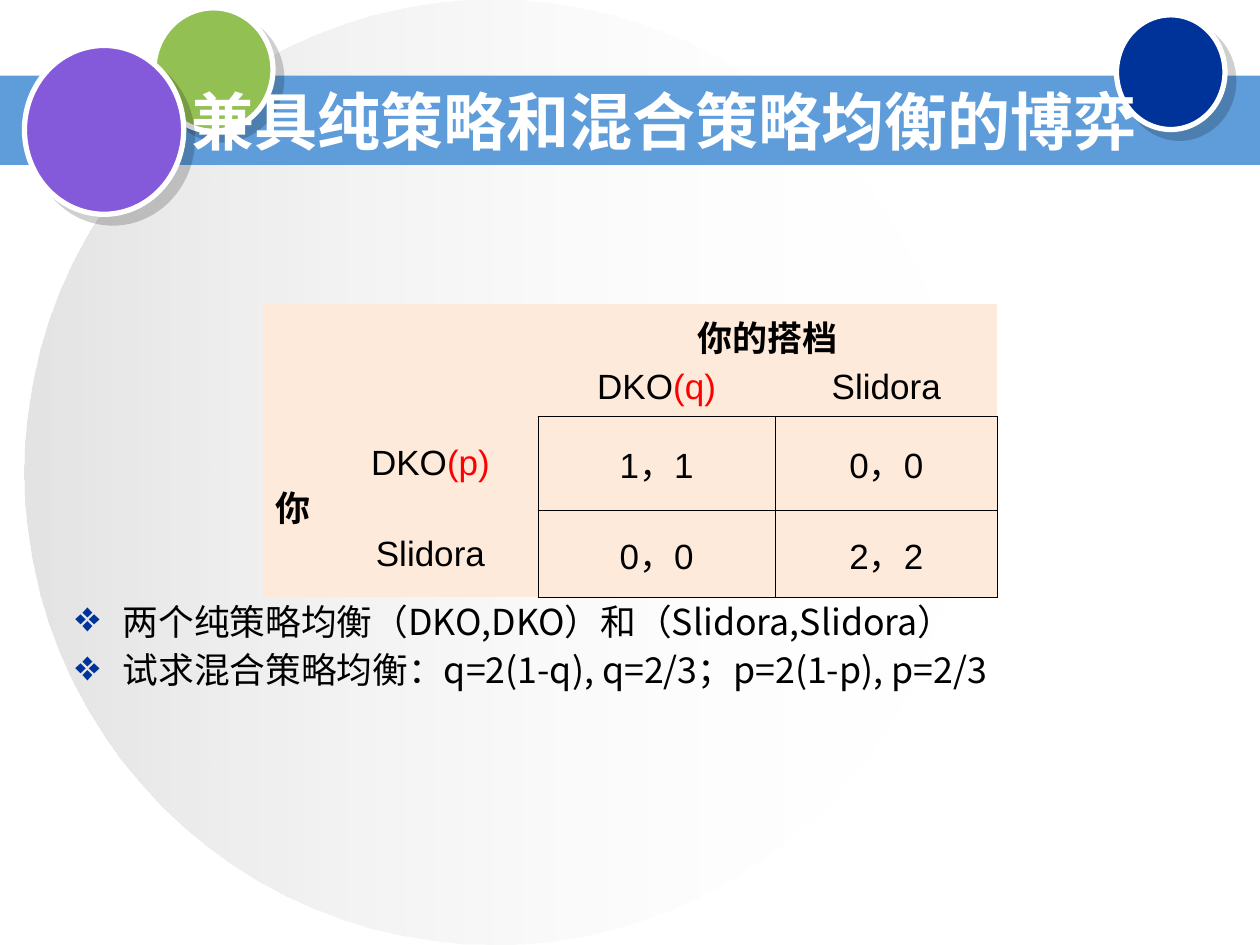
from dataclasses import dataclass
from typing import Any

from pptx import Presentation
from pptx import util as u
from pptx.dml.color import RGBColor
from pptx.enum import shapes, text
from pptx.oxml import ns, parse_xml

A = f'xmlns:a="{ns.nsuri("a")}"'
NO_GRID = "{2D5ABB26-0587-4C30-8999-92F81FD0307C}"


def rgb(value):
    return RGBColor.from_string(value)


@dataclass
class Deck:
    """Holds the style and the current slide, and draws each kind of element."""
    s: Any
    latin: str = "Arial"
    cjk: str = "Noto Sans CJK SC"
    ink: str = "000000"
    white: str = "FFFFFF"
    accent: str = "003399"
    mark: str = "FF0000"
    cell_fill: str = "FDEADA"

    def font(self, r, size, color, name, bold=False):
        r.font.size, r.font.bold, r.font.name = u.Pt(size), bold, name
        r.font.color.rgb = rgb(color)
        r.font._element.find(ns.qn("a:latin")).addnext(
            parse_xml(f'<a:ea {A} typeface="{self.cjk}"/>'))

    def shape(self, kind, box):
        sp = self.s.shapes.add_shape(kind, *map(u.Pt, box))
        sp.shadow.inherit = False
        sp.line.fill.background()
        return sp

    def backdrop(self, box, stops):
        sp = self.shape(shapes.MSO_SHAPE.OVAL, box)
        sp.fill.gradient()
        sp.fill.gradient_angle = 0
        for stop, (color, opacity) in zip(sp.fill.gradient_stops, stops):
            stop.color.rgb = rgb(color)
        for clr, (color, opacity) in zip(sp._element.spPr.iter(ns.qn("a:srgbClr")), stops):
            clr.append(parse_xml(f'<a:alpha {A} val="{opacity * 1000}"/>'))

    def band(self, box, color):
        sp = self.shape(shapes.MSO_SHAPE.RECTANGLE, box)
        sp.fill.solid()
        sp.fill.fore_color.rgb = rgb(color)

    def ball(self, box, color):
        sp = self.shape(shapes.MSO_SHAPE.OVAL, box)
        sp.fill.solid()
        sp.fill.fore_color.rgb = rgb(color)
        sp.line.color.rgb = rgb(self.white)
        sp.line.width = u.Pt(3)
        sp._element.spPr.find(ns.qn("a:effectLst")).append(parse_xml(
            f'<a:outerShdw {A} blurRad="0" dist="{u.Pt(7.1)}" dir="2700000" algn="ctr" '
            f'rotWithShape="0"><a:srgbClr val="{self.ink}"><a:alpha val="19000"/>'
            '</a:srgbClr></a:outerShdw>'))

    def textbox(self, box):
        tf = self.s.shapes.add_textbox(*map(u.Pt, box)).text_frame
        tf.word_wrap = True
        return tf

    def title(self, box, words):
        tf = self.textbox(box)
        tf.vertical_anchor = text.MSO_ANCHOR.MIDDLE
        tf.text = words
        p = tf.paragraphs[0]
        p.alignment = text.PP_ALIGN.CENTER
        self.font(p.runs[0], 36, self.white, self.cjk, True)

    def bullets(self, box, lines):
        tf = self.textbox(box)
        tf.text = "\n".join(lines)
        for i, p in enumerate(tf.paragraphs):
            p.line_spacing = 0.9
            p.space_before = u.Pt(5.5 if i else 0)
            pPr = p._p.get_or_add_pPr()
            pPr.set("marL", str(u.Pt(27)))
            pPr.set("indent", str(u.Pt(-27)))
            pPr.append(parse_xml(f'<a:buClr {A}><a:srgbClr val="{self.accent}"/></a:buClr>'))
            pPr.append(parse_xml(f'<a:buSzPct {A} val="120000"/>'))
            pPr.append(parse_xml(f'<a:buChar {A} char="❖"/>'))
            self.font(p.runs[0], 20.4, self.ink, self.cjk)

    def border(self, cell):
        tcPr = cell._tc.get_or_add_tcPr()
        for i, side in enumerate("LRTB"):
            tcPr.insert(i, parse_xml(
                f'<a:ln{side} {A} w="{u.Pt(0.45)}"><a:solidFill>'
                f'<a:srgbClr val="{self.ink}"/></a:solidFill></a:ln{side}>'))

    def cell(self, cell, words, bold):
        cell.fill.solid()
        cell.fill.fore_color.rgb = rgb(self.cell_fill)
        cell.vertical_anchor = text.MSO_ANCHOR.MIDDLE
        p = cell.text_frame.paragraphs[0]
        p.alignment = text.PP_ALIGN.CENTER
        name, bracket, variable = words.partition("(")
        for part, color in ((name, self.ink), (bracket + variable, self.mark)):
            if part:
                r = p.add_run()
                r.text = part
                self.font(r, 20, color, self.latin, bold)

    def payoffs(self, left, top, widths, heights, rows):
        frame = self.s.shapes.add_table(
            len(heights), len(widths), *map(u.Pt, (left, top, sum(widths), sum(heights))))
        t = frame.table
        t.first_row = t.horz_banding = False
        t._tbl.tblPr.find(ns.qn("a:tableStyleId")).text = NO_GRID
        for col, width in zip(t.columns, widths):
            col.width = u.Pt(width)
        for row, height in zip(t.rows, heights):
            row.height = u.Pt(height)
        t.cell(0, 2).merge(t.cell(0, 3))
        t.cell(2, 0).merge(t.cell(3, 0))
        for i, row in enumerate(rows):
            for j, words in enumerate(row):
                self.cell(t.cell(i, j), words, i == 0 or j == 0)
                if i > 1 and j > 1:
                    self.border(t.cell(i, j))


def main():
    prs = Presentation()
    prs.slide_width, prs.slide_height = u.Pt(720), u.Pt(540)
    d = Deck(prs.slides.add_slide(prs.slide_layouts[6]))
    d.backdrop((14, 0, 536, 540), (("C0C0C0", 44), ("FFFFFF", 0)))
    d.band((0, 43.2, 720, 51), "5E9CDA")
    d.ball((88, 4.5, 68, 70.5), "93C052")
    d.ball((638, 8.5, 62, 65.5), d.accent)
    d.ball((14, 26, 91, 96.5), "855ADA")
    d.title((25.5, 43.2, 708, 51), "兼具纯策略和混合策略均衡的博弈")
    d.bullets((36, 342, 648, 78), (
        "两个纯策略均衡（DKO,DKO）和（Slidora,Slidora）",
        "试求混合策略均衡：q=2(1-q), q=2/3；p=2(1-p), p=2/3"))
    d.payoffs(150.5, 174, (34, 123, 135.5, 127), (29.5, 32.5, 54, 49.5), (
        ("", "", "你的搭档", ""),
        ("", "", "DKO(q)", "Slidora"),
        ("你", "DKO(p)", "1，1", "0，0"),
        ("", "Slidora", "0，0", "2，2")))
    prs.save("out.pptx")


if __name__ == "__main__":
    main()
